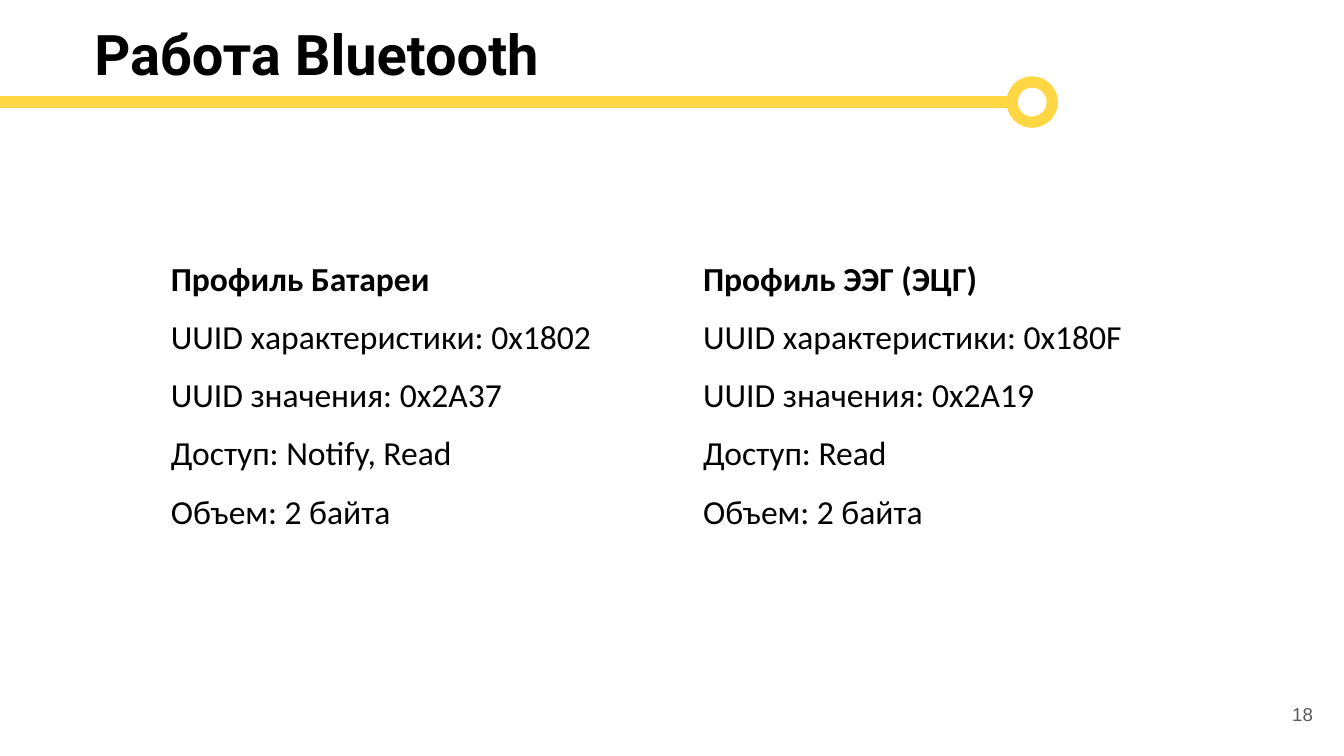
from pptx import Presentation
from pptx.dml.color import RGBColor
from pptx.enum.shapes import MSO_CONNECTOR, MSO_SHAPE
from pptx.enum.text import MSO_ANCHOR, PP_ALIGN
from pptx.oxml.ns import qn
from pptx.util import Inches, Pt

WIDTH = Inches(10)
HEIGHT = WIDTH * 9 // 16
COLORS = {"text": "000000", "accent": "FFD745", "number": "595959"}
TITLE_FONT = {"name": "Roboto", "size": Pt(30), "bold": True}
BODY_FONT = {"name": "Calibri", "size": Pt(18)}
NUMBER_FONT = {"name": "Arial", "size": Pt(10)}
BODY_SPACING = {"line_spacing": 1.07, "space_after": Pt(8)}

PROFILES = [
    ("Профиль Батареи", "0x1802", "0x2A37", "Notify, Read"),
    ("Профиль ЭЭГ (ЭЦГ)", "0x180F", "0x2A19", "Read"),
]


def set_values(target, values):
    for name, value in values.items():
        setattr(target, name, value)


def percent(left, top, width, height):
    """Turn percentages of the slide's size into lengths."""
    return [round(part * side / 100) for part, side in
            zip((left, top, width, height), (WIDTH, HEIGHT) * 2)]


def add_text(page, area, lines, font, color="text", spacing=None, frame=None):
    """Place one paragraph for each (wording, extra font values) pair."""
    box = page.shapes.add_textbox(*area).text_frame
    set_values(box, {"word_wrap": True, **(frame or {})})
    for index, (wording, extra) in enumerate(lines):
        para = box.add_paragraph() if index else box.paragraphs[0]
        set_values(para, spacing or {})
        span = para.add_run()
        span.text = wording
        set_values(span.font, {**font, **extra})
        span.font.color.rgb = RGBColor.from_string(COLORS[color])


def draw_outline(shape):
    shape.line.color.rgb = RGBColor.from_string(COLORS["accent"])
    shape.line.width = Pt(6)


def add_heading(page, area, wording):
    add_text(page, area, [(wording, {})], TITLE_FONT)


def add_rule(page, area):
    """Draw a rule across the area that ends in a ring as high as the area."""
    left, top, width, size = area
    ring_left, middle = left + width - size, top + size // 2
    rule = page.shapes.add_connector(
        MSO_CONNECTOR.STRAIGHT, left, middle, ring_left, middle)
    draw_outline(rule)
    properties = rule._element.spPr
    properties.append(properties.makeelement(qn("a:effectLst"), {}))
    ring = page.shapes.add_shape(MSO_SHAPE.OVAL, ring_left, top, size, size)
    ring.shadow.inherit = False
    ring.fill.background()
    draw_outline(ring)


def add_profiles(page, area):
    """Set the profiles side by side in equal columns with a gap between."""
    left, top, width, height = area
    gap = Inches(0.13)
    column = (width - gap * (len(PROFILES) - 1)) // len(PROFILES)
    for index, (name, characteristic, value, access) in enumerate(PROFILES):
        lines = [
            (name, {"bold": True}),
            (f"UUID характеристики: {characteristic}", {}),
            (f"UUID значения: {value}", {}),
            (f"Доступ: {access}", {}),
            ("Объем: 2 байта", {}),
        ]
        cell = (left + index * (column + gap), top, column, height)
        add_text(page, cell, lines, BODY_FONT, spacing=BODY_SPACING)


def add_number(page, area, number):
    inset = Inches(0.1)
    add_text(page, area, [(number, {})], NUMBER_FONT, "number",
             {"alignment": PP_ALIGN.RIGHT},
             {"vertical_anchor": MSO_ANCHOR.MIDDLE,
              "margin_top": inset, "margin_bottom": inset})


def main():
    deck = Presentation()
    deck.slide_width, deck.slide_height = WIDTH, HEIGHT
    page = deck.slides.add_slide(deck.slide_layouts[6])
    add_heading(page, percent(6.03, 1.7, 73.9, 7.11), "Работа Bluetooth")
    add_rule(page, percent(-0.3, 10.84, 78.6, 5.33))
    add_number(page, percent(92.67, 90.67, 6, 7.64), "18")
    add_profiles(page, percent(11.73, 32.92, 77.9, 25.96))
    deck.save("out.pptx")


if __name__ == "__main__":
    main()
